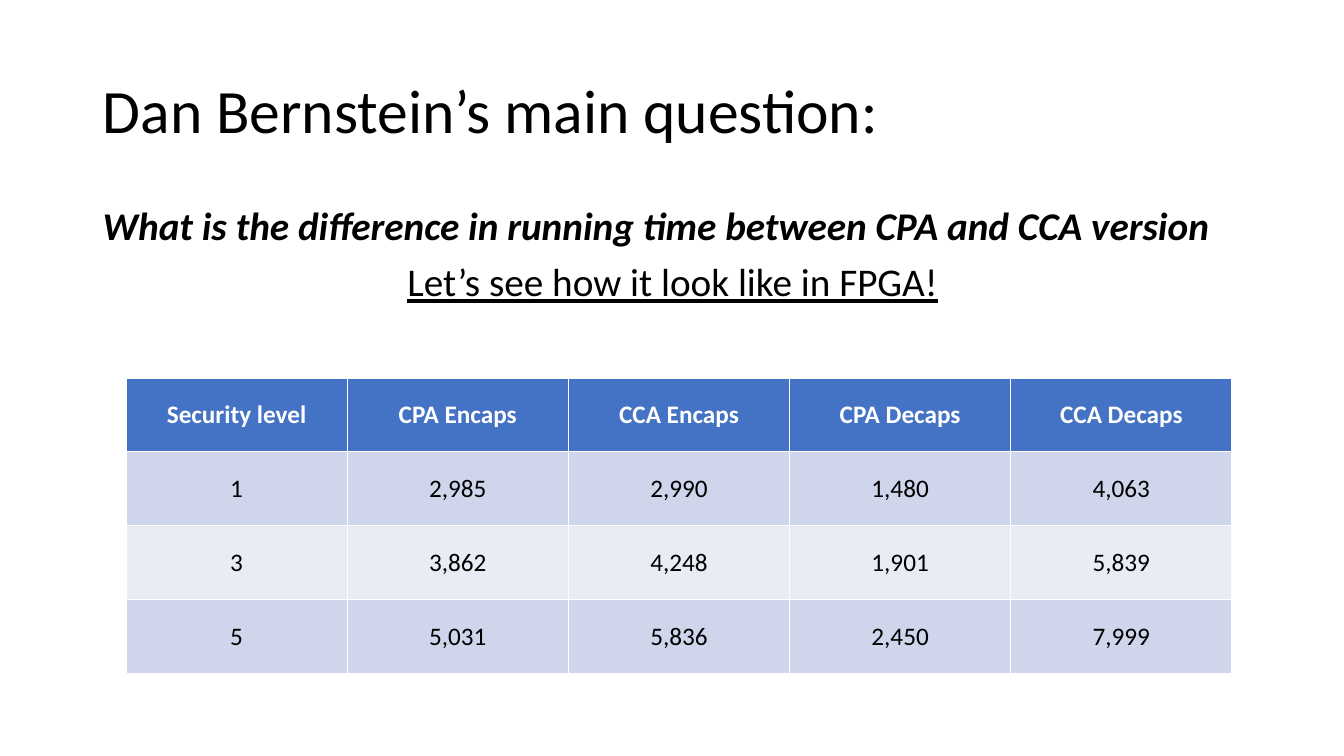
from pptx import Presentation
from pptx.dml.color import RGBColor
from pptx.enum.text import MSO_ANCHOR, PP_ALIGN
from pptx.util import Inches, Pt

LEFT, CENTER = PP_ALIGN.LEFT, PP_ALIGN.CENTER
TOP, MIDDLE = MSO_ANCHOR.TOP, MSO_ANCHOR.MIDDLE

# Content
TITLE = "Dan Bernstein’s main question:"
QUESTION = "What is the difference in running time between CPA and CCA version"
ANSWER = "Let’s see how it look like in FPGA!"
CYCLES = [
    ("Security level", "CPA Encaps", "CCA Encaps", "CPA Decaps", "CCA Decaps"),
    ("1", "2,985", "2,990", "1,480", "4,063"),
    ("3", "3,862", "4,248", "1,901", "5,839"),
    ("5", "5,031", "5,836", "2,450", "7,999"),
]

# Style and grid, in inches
FONT = "Calibri"
BLACK, WHITE, HEADER = "000000", "FFFFFF", "4472C4"
BANDS = ("E9EBF5", "CFD5EA")
MARGIN, TEXT_W = 0.92, 11.5
TABLE_X, TABLE_Y, TABLE_W, TABLE_H = 1.25, 3.75, 10.97, 2.93


def rgb(value):
    return RGBColor.from_string(value)


def style(p, size, color=BLACK, align=LEFT, bold=False, italic=False, underline=False):
    p.alignment = align
    f = p.font
    f.name, f.size, f.color.rgb = FONT, Pt(size), rgb(color)
    f.bold, f.italic, f.underline = bold, italic, underline


def text_frame(s, y, h, anchor):
    box = s.shapes.add_textbox(Inches(MARGIN), Inches(y), Inches(TEXT_W), Inches(h))
    tf = box.text_frame
    tf.word_wrap, tf.vertical_anchor = True, anchor
    return tf


prs = Presentation()
prs.slide_width, prs.slide_height = Inches(13.33), Inches(7.5)
s = prs.slides.add_slide(prs.slide_layouts[6])

# Title
tf = text_frame(s, 0.4, 1.45, MIDDLE)
tf.text = TITLE
style(tf.paragraphs[0], 44)
tf.paragraphs[0].line_spacing = 0.9

# Question and answer
tf = text_frame(s, 2, 4.76, TOP)
tf.text = f"{QUESTION}\n{ANSWER}"
question, answer = tf.paragraphs
style(question, 28, bold=True, italic=True)
style(answer, 28, align=CENTER, underline=True)
for p in tf.paragraphs:
    p.line_spacing, p.space_before = 0.9, Pt(10)

# Cycle table, whose default style draws the white rules
table = s.shapes.add_table(len(CYCLES), len(CYCLES[0]), Inches(TABLE_X), Inches(TABLE_Y),
                           Inches(TABLE_W), Inches(TABLE_H)).table
for i, row in enumerate(CYCLES):
    is_header = i == 0
    for j, value in enumerate(row):
        cell = table.cell(i, j)
        cell.text, cell.vertical_anchor = value, MIDDLE
        cell.fill.solid()
        cell.fill.fore_color.rgb = rgb(HEADER if is_header else BANDS[i % 2])
        style(cell.text_frame.paragraphs[0], 18, WHITE if is_header else BLACK,
              CENTER, bold=is_header)

prs.save("out.pptx")
